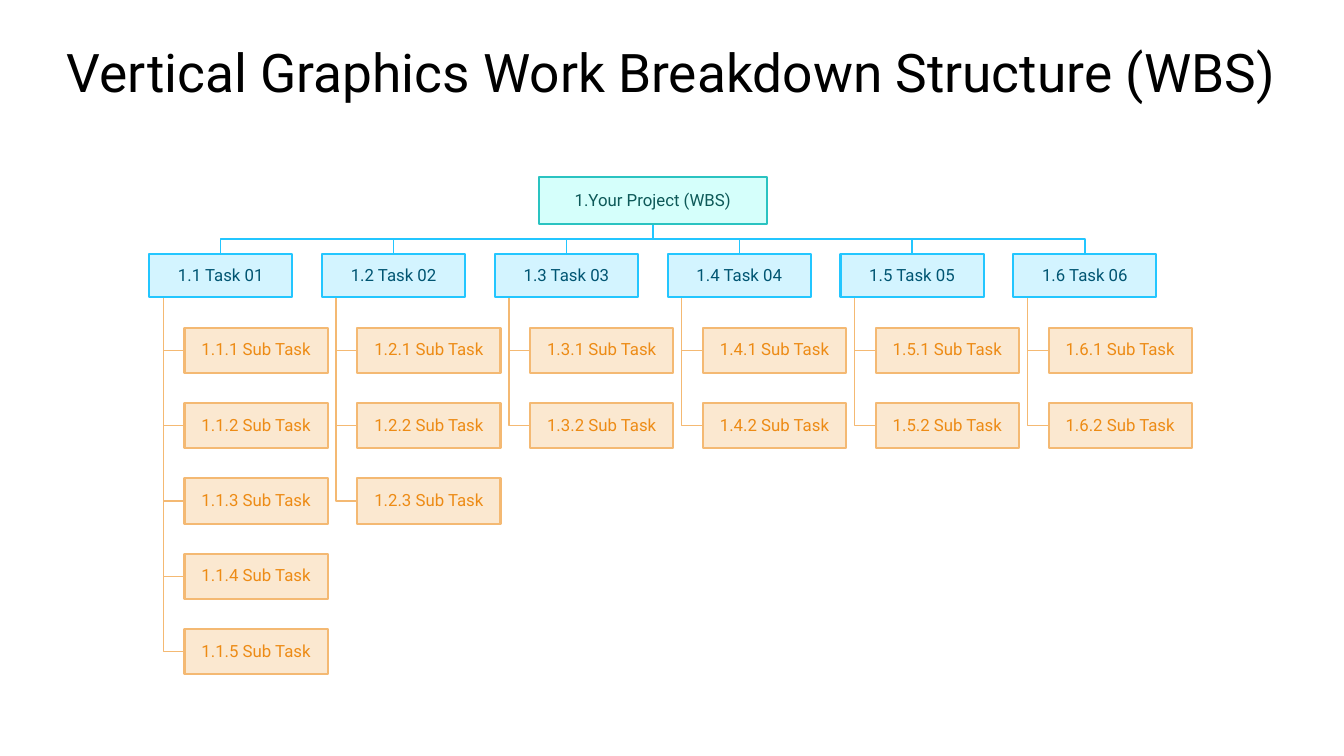
import pptx
import pptx.dml.color
import pptx.enum.shapes
import pptx.enum.text
import pptx.util

FONT = "Roboto"
PROJECT_STYLE = {"fill": "D5FFFB", "line": "2AC3C1", "color": "0D5958"}
TASK_STYLE = {"fill": "D3F4FF", "line": "23C6FF", "color": "005572"}
SUBTASK_STYLE = {"fill": "FBE8D0", "line": "F4B973", "color": "ED8B15"}

SUBTASK_COUNTS = [5, 3, 2, 2, 2, 2]
PROJECT_WIDTH, PROJECT_HEIGHT = 2.26, 0.46
BOX_WIDTH, TASK_HEIGHT, SUBTASK_HEIGHT = 1.42, 0.43, 0.45
TASK_OFFSET, SUBTASK_OFFSET = 0.76, 1.49
SPINE_INDENT, SUBTASK_INDENT = 0.14, 0.35


def rgb(color):
    return pptx.dml.color.RGBColor.from_string(color)


def write_text(shape, text, size, color, margin=0, space_before=0):
    frame = shape.text_frame
    frame.word_wrap = True
    frame.vertical_anchor = pptx.enum.text.MSO_ANCHOR.MIDDLE
    frame.margin_left = frame.margin_right = pptx.util.Inches(margin)
    frame.margin_top = frame.margin_bottom = pptx.util.Inches(margin)
    paragraph = frame.paragraphs[0]
    paragraph.alignment = pptx.enum.text.PP_ALIGN.CENTER
    paragraph.line_spacing = 0.9
    paragraph.space_before = pptx.util.Pt(space_before)
    run = paragraph.add_run()
    run.text = text
    run.font.name = FONT
    run.font.size = pptx.util.Pt(size)
    run.font.color.rgb = rgb(color)


def add_box(slide, text, left, top, width, height, style):
    shape = slide.shapes.add_shape(
        pptx.enum.shapes.MSO_SHAPE.RECTANGLE,
        *(pptx.util.Inches(length) for length in (left, top, width, height)),
    )
    shape.shadow.inherit = False
    shape.fill.solid()
    shape.fill.fore_color.rgb = rgb(style["fill"])
    shape.line.color.rgb = rgb(style["line"])
    shape.line.width = pptx.util.Pt(1.5)
    write_text(shape, text, 12, style["color"], margin=0.01, space_before=5)


def add_branch(slide, points, color):
    start, *corners = [
        (pptx.util.Inches(x), pptx.util.Inches(y)) for x, y in points
    ]
    builder = slide.shapes.build_freeform(*start)
    builder.add_line_segments(corners, close=False)
    shape = builder.convert_to_shape()
    shape.shadow.inherit = False
    shape.fill.background()
    shape.line.color.rgb = rgb(color)
    shape.line.width = pptx.util.Pt(1)


def add_title(slide, text, left, top, width, height):
    title = slide.shapes.add_textbox(
        *(pptx.util.Inches(length) for length in (left, top, width, height))
    )
    write_text(title, text, 38, "000000")


def add_task_column(slide, number, count, left, top, pitch):
    task_bottom = top + TASK_HEIGHT
    spine = left + SPINE_INDENT
    subtask_left = left + SUBTASK_INDENT
    first_top = top + SUBTASK_OFFSET - TASK_OFFSET
    subtask_tops = [first_top + row * pitch for row in range(count)]
    for subtask_top in subtask_tops:
        middle = subtask_top + SUBTASK_HEIGHT / 2
        points = [(spine, task_bottom), (spine, middle), (subtask_left, middle)]
        add_branch(slide, points, SUBTASK_STYLE["line"])
    add_box(slide, f"1.{number} Task {number:02}", left, top,
            BOX_WIDTH, TASK_HEIGHT, TASK_STYLE)
    for row, subtask_top in enumerate(subtask_tops, start=1):
        add_box(slide, f"1.{number}.{row} Sub Task", subtask_left, subtask_top,
                BOX_WIDTH, SUBTASK_HEIGHT, SUBTASK_STYLE)


def add_breakdown(slide, left, top, width, height):
    column_pitch = (width - SUBTASK_INDENT - BOX_WIDTH) / (len(SUBTASK_COUNTS) - 1)
    row_pitch = (height - SUBTASK_OFFSET - SUBTASK_HEIGHT) / (max(SUBTASK_COUNTS) - 1)
    center = left + (width - SUBTASK_INDENT) / 2
    project_bottom = top + PROJECT_HEIGHT
    task_top = top + TASK_OFFSET
    bus = (project_bottom + task_top) / 2
    task_lefts = [left + i * column_pitch for i in range(len(SUBTASK_COUNTS))]
    for task_left in task_lefts:
        task_center = task_left + BOX_WIDTH / 2
        points = [(center, project_bottom), (center, bus),
                  (task_center, bus), (task_center, task_top)]
        add_branch(slide, points, TASK_STYLE["line"])
    add_box(slide, "1.Your Project (WBS)", center - PROJECT_WIDTH / 2, top,
            PROJECT_WIDTH, PROJECT_HEIGHT, PROJECT_STYLE)
    for number, (task_left, count) in enumerate(zip(task_lefts, SUBTASK_COUNTS), start=1):
        add_task_column(slide, number, count, task_left, task_top, row_pitch)


def main():
    presentation = pptx.Presentation()
    presentation.slide_width = pptx.util.Inches(13.33)
    presentation.slide_height = pptx.util.Inches(7.5)
    slide = presentation.slides.add_slide(presentation.slide_layouts[6])
    add_title(slide, "Vertical Graphics Work Breakdown Structure (WBS)",
              0.56, 0.39, 12.2, 0.72)
    add_breakdown(slide, 1.48, 1.76, 10.34, 4.93)
    presentation.save("out.pptx")


if __name__ == "__main__":
    main()
